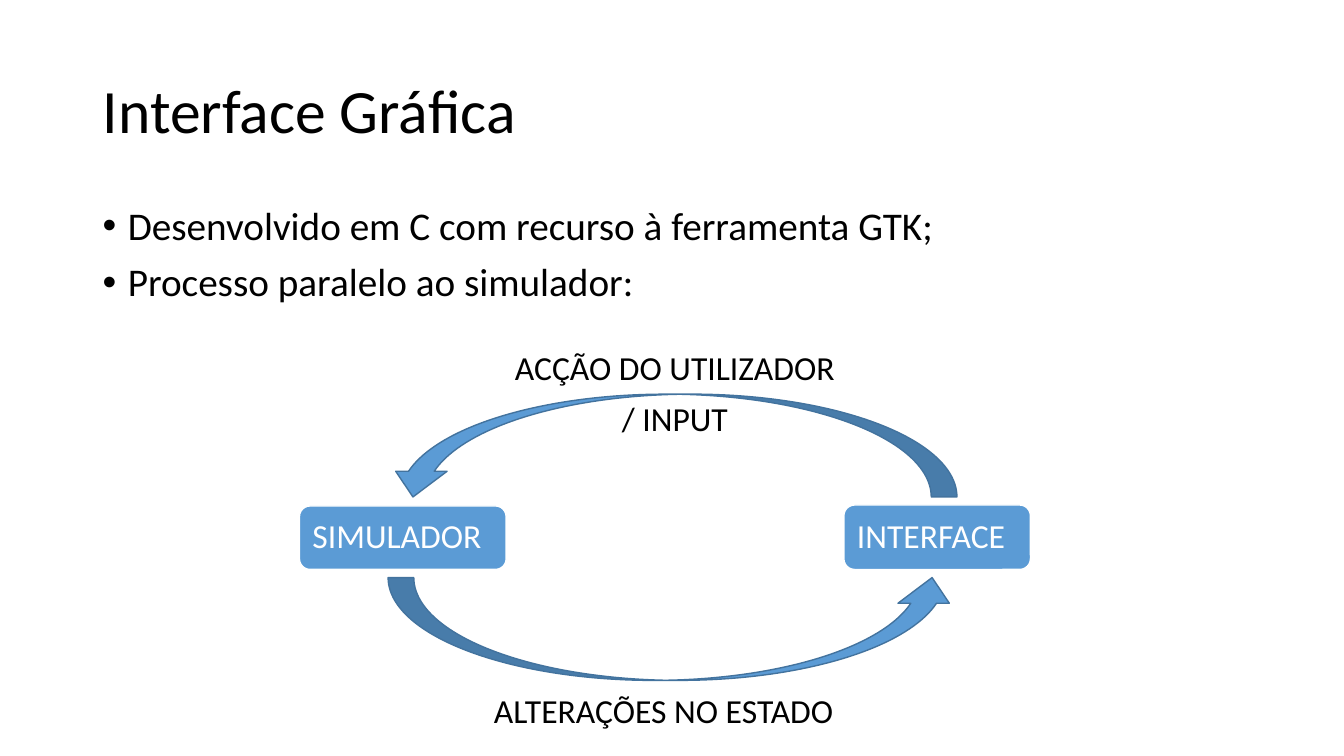
import dataclasses

import pptx
import pptx.dml.color
import pptx.enum.shapes
import pptx.enum.text
import pptx.util

BLACK = pptx.dml.color.RGBColor(0x00, 0x00, 0x00)
WHITE = pptx.dml.color.RGBColor(0xFF, 0xFF, 0xFF)
BLUE = pptx.dml.color.RGBColor(0x5B, 0x9B, 0xD5)
DARK_BLUE = pptx.dml.color.RGBColor(0x43, 0x73, 0x9E)
FONT = "Calibri"
WIDTH = pptx.util.Inches(13.33)
HEIGHT = pptx.util.Inches(7.5)
ANCHOR = pptx.enum.text.MSO_ANCHOR
KIND = pptx.enum.shapes.MSO_SHAPE


@dataclasses.dataclass(frozen=True)
class Area:
    """Hold a rectangle in percent of the slide's width and height."""
    left: float
    top: float
    width: float
    height: float

    def lengths(self) -> tuple[int, int, int, int]:
        """Return left, top, width and height as slide lengths."""
        return (int(WIDTH * self.left / 100), int(HEIGHT * self.top / 100),
                int(WIDTH * self.width / 100), int(HEIGHT * self.height / 100))


@dataclasses.dataclass(frozen=True)
class Line:
    """Describe one paragraph, with its indent in inches."""
    text: str
    size: float
    color: pptx.dml.color.RGBColor = BLACK
    before: float = 10
    indent: float = 0
    bullet: bool = False


@dataclasses.dataclass(frozen=True)
class Figure:
    """Describe a filled preset shape with an optional label."""
    kind: KIND
    area: Area
    outline: pptx.dml.color.RGBColor
    rotation: float = 0
    label: str = ""


TITLE_AREA = Area(6.9, 5.33, 86.27, 19.33)
TITLE = Line("Interface Gráfica", 44, before=0)
TEXTS = [
    (Area(6.9, 26.67, 86.27, 19.33), [
        Line("Desenvolvido em C com recurso à ferramenta GTK;", 28, indent=0.25, bullet=True),
        Line("Processo paralelo ao simulador:", 28, indent=0.25, bullet=True)]),
    (Area(37.58, 45.87, 33.31, 19.33), [
        Line("ACÇÃO DO UTILIZADOR", 24),
        Line("/ INPUT", 24, indent=1.06)]),
    (Area(36.01, 91.2, 33.31, 8.8), [Line("ALTERAÇÕES NO ESTADO", 24)]),
]
FIGURES = [
    Figure(KIND.CURVED_UP_ARROW, Area(28.88, 76.4, 42.39, 13.6), DARK_BLUE),
    Figure(KIND.CURVED_UP_ARROW, Area(28.81, 52.13, 42.39, 13.6), DARK_BLUE, rotation=180),
    Figure(KIND.ROUNDED_RECTANGLE, Area(22.28, 66.93, 15.38, 8.4), WHITE, label="SIMULADOR"),
    Figure(KIND.ROUNDED_RECTANGLE, Area(62.79, 66.8, 13.88, 8.53), WHITE, label="INTERFACE"),
]


def write(frame, lines: list[Line], anchor: ANCHOR = ANCHOR.TOP) -> None:
    """Fill a text frame with left-aligned paragraphs."""
    frame.word_wrap = True
    frame.auto_size = pptx.enum.text.MSO_AUTO_SIZE.NONE
    frame.vertical_anchor = anchor
    for index, line in enumerate(lines):
        para = frame.add_paragraph() if index else frame.paragraphs[0]
        para.alignment = pptx.enum.text.PP_ALIGN.LEFT
        para.line_spacing = 0.9
        para.space_before = pptx.util.Pt(line.before)
        indent = pptx.util.Inches(line.indent)
        properties = para._p.get_or_add_pPr()
        properties.set("marL", str(indent))
        properties.set("indent", str(-indent if line.bullet else 0))
        if line.bullet:
            font = properties.makeelement(pptx.oxml.ns.qn("a:buFont"), {"typeface": "Arial"})
            mark = properties.makeelement(pptx.oxml.ns.qn("a:buChar"), {"char": "•"})
            properties.extend([font, mark])
        span = para.add_run()
        span.text = line.text
        span.font.name = FONT
        span.font.size = pptx.util.Pt(line.size)
        span.font.color.rgb = line.color


def draw_figure(page, figure: Figure) -> None:
    """Draw a preset shape and its label."""
    shape = page.shapes.add_shape(figure.kind, *figure.area.lengths())
    shape.rotation = figure.rotation
    shape.shadow.inherit = False
    shape.fill.solid()
    shape.fill.fore_color.rgb = BLUE
    shape.line.color.rgb = figure.outline
    shape.line.width = pptx.util.Pt(1)
    if figure.label:
        shape.adjustments[0] = 0.1 * 1.67
        frame = shape.text_frame
        frame.margin_left = frame.margin_right = pptx.util.Inches(0.1)
        write(frame, [Line(figure.label, 24, WHITE, before=0)], ANCHOR.MIDDLE)


def main() -> None:
    """Build the slide and save the deck."""
    deck = pptx.Presentation()
    deck.slide_width, deck.slide_height = WIDTH, HEIGHT
    page = deck.slides.add_slide(deck.slide_layouts.get_by_name("Title Only"))
    title = page.shapes.title
    title.left, title.top, title.width, title.height = TITLE_AREA.lengths()
    write(title.text_frame, [TITLE], ANCHOR.MIDDLE)
    for figure in FIGURES:
        draw_figure(page, figure)
    for area, lines in TEXTS:
        box = page.shapes.add_textbox(*area.lengths())
        write(box.text_frame, lines)
    deck.save("out.pptx")


main()
